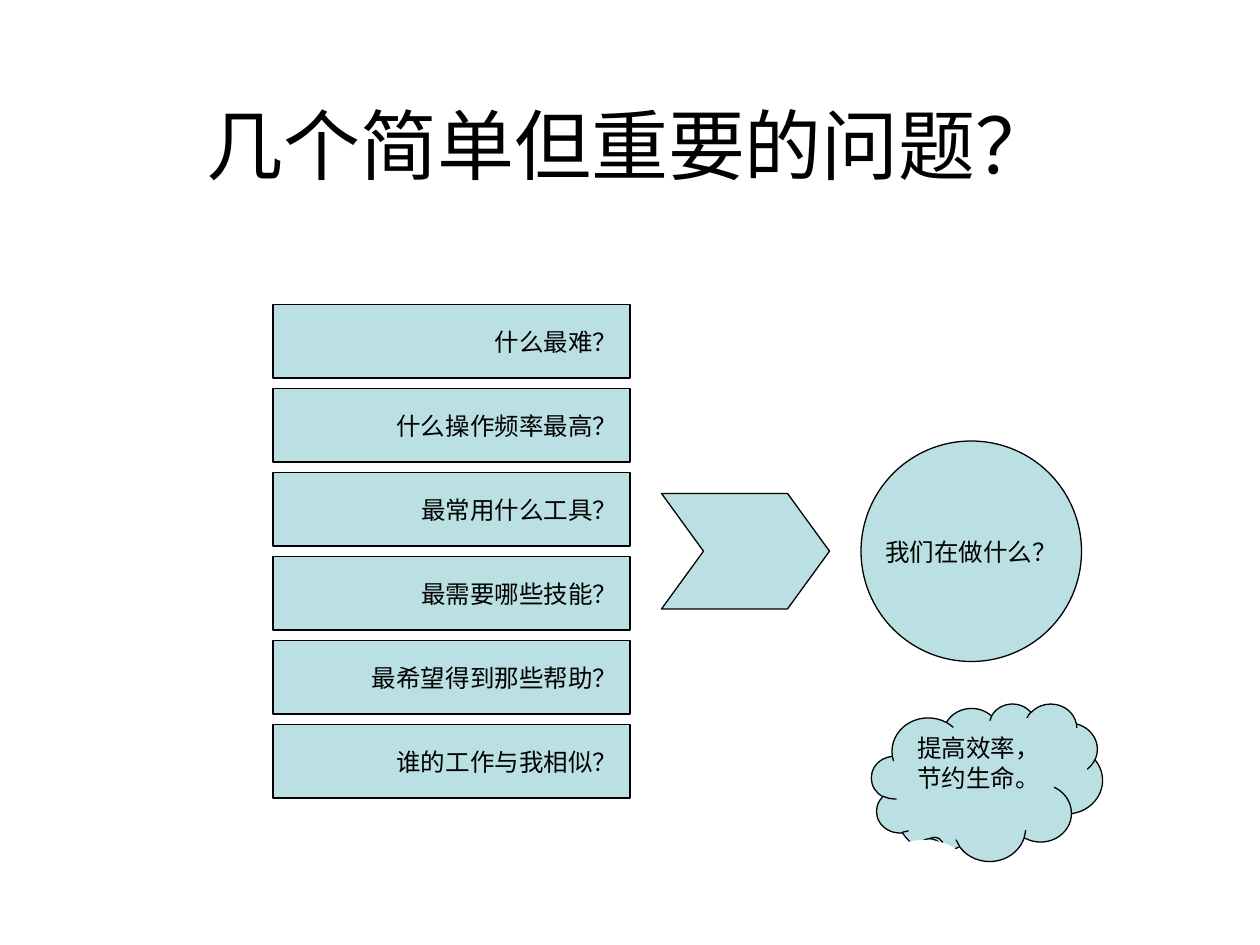
from pptx import Presentation
from pptx.dml.color import RGBColor
from pptx.enum.shapes import MSO_SHAPE
from pptx.enum.text import MSO_ANCHOR, PP_ALIGN
from pptx.util import Pt

PX = 9525
BLACK = RGBColor(0x00, 0x00, 0x00)
WHITE = RGBColor(0xFF, 0xFF, 0xFF)
PALE_TEAL = RGBColor(0xBB, 0xE0, 0xE3)
RECTANGLE = MSO_SHAPE.RECTANGLE
CIRCLE = MSO_SHAPE.FLOWCHART_CONNECTOR
CLOUD = MSO_SHAPE.CLOUD_CALLOUT
OVAL = MSO_SHAPE.OVAL
TOP, MIDDLE = MSO_ANCHOR.TOP, MSO_ANCHOR.MIDDLE
CENTER, RIGHT = PP_ALIGN.CENTER, PP_ALIGN.RIGHT

QUESTIONS = [
    "什么最难？",
    "什么操作频率最高？",
    "最常用什么工具？",
    "最需要哪些技能？",
    "最希望得到那些帮助？",
    "谁的工作与我相似？",
]
QUESTION_TOP, QUESTION_PITCH = 232, 64


def write_text(shape, text, size, alignment, anchor, wrap):
    frame = shape.text_frame
    frame.word_wrap = wrap
    frame.vertical_anchor = anchor
    paragraph = frame.paragraphs[0]
    paragraph.text = text
    paragraph.alignment = alignment
    for name, value in {"name": "Arial", "size": Pt(size)}.items():
        setattr(paragraph.font, name, value)
    paragraph.font.color.rgb = BLACK


def paint(shape, color, outlined=True):
    shape.shadow.inherit = False
    shape.fill.solid()
    shape.fill.fore_color.rgb = color
    if outlined:
        shape.line.color.rgb = BLACK
        shape.line.width = Pt(0.75)
    else:
        shape.line.fill.background()


presentation = Presentation()
presentation.slide_width = 960 * PX
presentation.slide_height = 720 * PX
slide = presentation.slides.add_slide(presentation.slide_layouts[6])
shapes = slide.shapes

title = shapes.add_textbox(72 * PX, 32 * PX, 816 * PX, 155 * PX)
write_text(title, "几个简单但重要的问题？", 44, CENTER, MIDDLE, True)

for index, question in enumerate(QUESTIONS):
    top = QUESTION_TOP + index * QUESTION_PITCH
    box = shapes.add_shape(RECTANGLE, 208 * PX, top * PX, 272 * PX, 56 * PX)
    paint(box, PALE_TEAL)
    write_text(box, question, 14, RIGHT, MIDDLE, False)

circle = shapes.add_shape(CIRCLE, 656 * PX, 336 * PX, 168 * PX, 168 * PX)
paint(circle, PALE_TEAL)
write_text(circle, "我们在做什么？", 14, CENTER, MIDDLE, False)

builder = shapes.build_freeform(504, 376, scale=PX)
builder.add_line_segments(
    [(600, 376), (632, 420), (600, 464), (504, 464), (536, 420)], close=True
)
arrow = builder.convert_to_shape()
paint(arrow, PALE_TEAL)

cloud = shapes.add_shape(CLOUD, 664 * PX, 536 * PX, 176 * PX, 120 * PX)
cloud.adjustments[0] = -0.23
cloud.adjustments[1] = 0.41
paint(cloud, PALE_TEAL)
write_text(cloud, "提高效率，节约生命。", 14, CENTER, TOP, True)

cloud_tail_cover = shapes.add_shape(OVAL, 672 * PX, 640 * PX, 64 * PX, 40 * PX)
paint(cloud_tail_cover, WHITE, outlined=False)

presentation.save("out.pptx")
